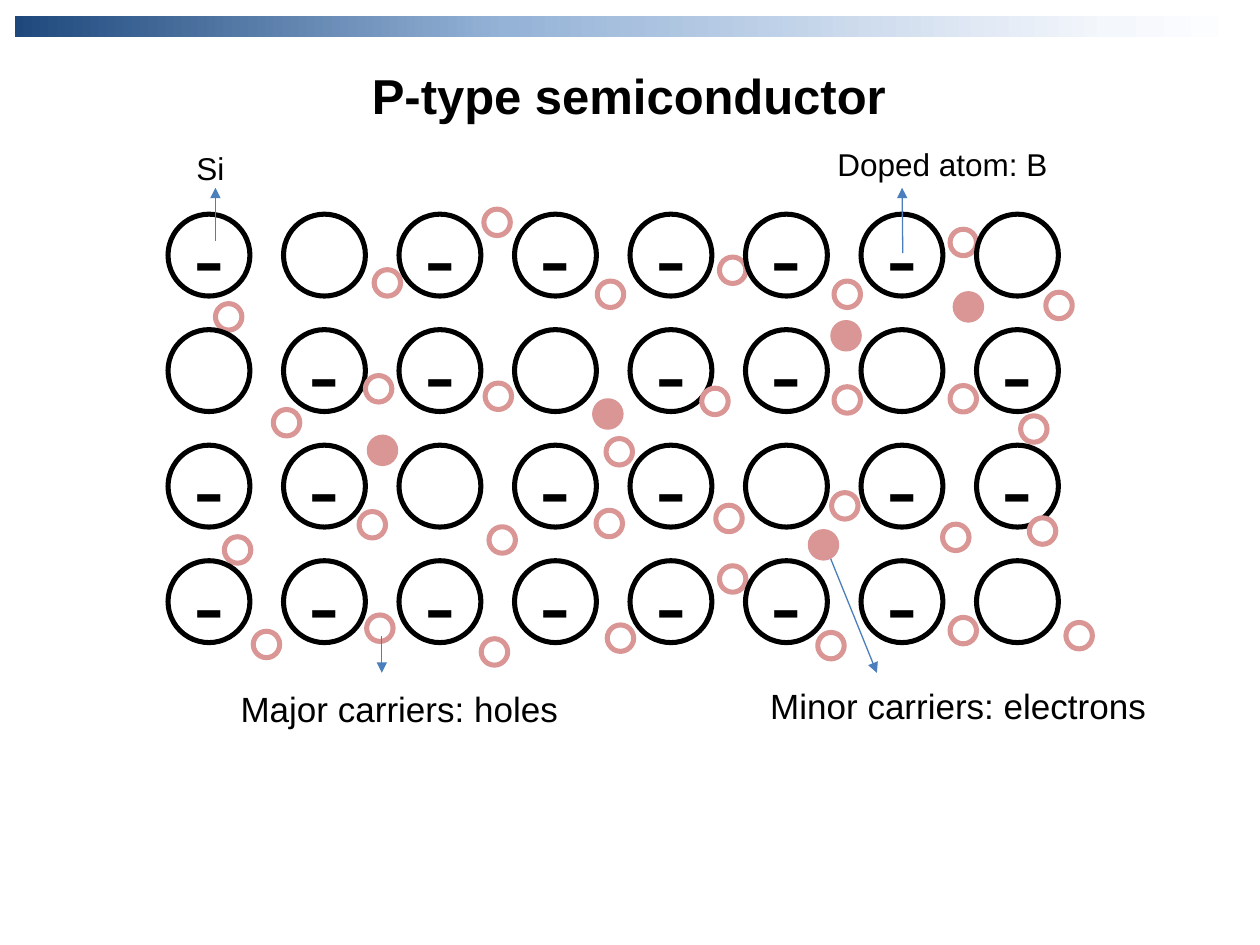
import copy

import pptx
import pptx.dml.color
import pptx.enum.shapes
import pptx.enum.text
import pptx.oxml
import pptx.oxml.ns
import pptx.util

Pt = pptx.util.Pt
SHAPE = pptx.enum.shapes.MSO_SHAPE
ALIGN = pptx.enum.text.PP_ALIGN
ANCHOR = pptx.enum.text.MSO_ANCHOR

ATOM_SIZE, PITCH = 46.8, 66
LATTICE_LEFT, LATTICE_TOP = 96, 122.4
CARRIER_SIZE = 15.1

# "-" marks an ionized atom, "." a neutral one
LATTICE = ["-.-----.", ".--.--.-", "--.--.--", "-------."]

# Left and top of the hole that belongs to each atom, row by row
HOLES = [
    [(123.1, 173.5), (213.8, 154.1), (276.5, 119.5), (341.3, 160.6),
     (411.1, 146.9), (476.6, 160.6), (542.9, 131), (597.6, 167)],
    [(156.2, 234), (208.8, 214.6), (277.2, 218.9), (346.3, 250.6),
     (401, 221.8), (476.6, 221), (542.9, 220.3), (583.2, 237.6)],
    [(128.2, 306.7), (205.2, 292.3), (279.4, 301), (340.6, 291.6),
     (409, 288.7), (475.2, 281.5), (538.6, 299.5), (588.2, 295.9)],
    [(144.7, 360.7), (209.5, 351.4), (275, 365), (347, 357.1),
     (411.1, 323.3), (467.3, 361.4), (542.9, 352.8), (609.1, 355.7)],
]
ELECTRONS = [(463, 303.8), (339.8, 229), (545.8, 167.8), (475.9, 184.3), (211, 249.8)]

ARROWS = [
    (218.2, 363.6, 218.2, 384.5),
    (470.2, 308.2, 501.1, 384.5),
    (515.9, 144.7, 515.5, 107.3),
    (123.1, 137.5, 123.1, 107.3),
]
# Text, left, top, width, height, size, bold
LABELS = [
    ("Major carriers: holes", 69.1, 389.5, 318.2, 31.7, 20, False),
    ("Minor carriers: electrons", 424.1, 387.4, 247, 31.7, 20, False),
    ("Doped atom: B", 446.4, 79.2, 184.3, 28.8, 18, False),
    ("Si", 86.1, 81.4, 68.4, 28.8, 18, False),
    ("P-type semiconductor", 50.4, 33.8, 617.8, 41, 28, True),
]


def rgb(value):
    return pptx.dml.color.RGBColor.from_string(value)


def write(tf, text, size, bold=False, color="000000", font="Arial"):
    p = tf.paragraphs[0]
    p.alignment = ALIGN.CENTER
    r = p.add_run()
    r.text = text
    r.font.name = font
    r.font.size = Pt(size)
    r.font.bold = bold
    r.font.color.rgb = rgb(color)


class Deck:
    ink = "000000"
    carrier = "D99694"
    arrow_color = "4B7EBC"
    outline = 2.88

    def __init__(self, width, height):
        self.prs = pptx.Presentation()
        self.prs.slide_width, self.prs.slide_height = Pt(width), Pt(height)
        self.s = self.prs.slides.add_slide(self.prs.slide_layouts[6])

    def gradient_bar(self, x, y, w, h, stops):
        sp = self.s.shapes.add_shape(SHAPE.RECTANGLE, Pt(x), Pt(y), Pt(w), Pt(h))
        sp.shadow.inherit = False
        sp.line.fill.background()
        sp.fill.gradient()
        sp.fill.gradient_angle = 0
        gs_list = sp.fill._fill._gradFill.find(pptx.oxml.ns.qn("a:gsLst"))
        while len(gs_list) < len(stops):
            gs_list.append(copy.deepcopy(gs_list[0]))
        for stop, (position, color) in zip(sp.fill.gradient_stops, stops):
            stop.position = position
            stop.color.rgb = rgb(color)

    def circle(self, x, y, size, line, fill=None):
        sp = self.s.shapes.add_shape(SHAPE.OVAL, Pt(x), Pt(y), Pt(size), Pt(size))
        sp.shadow.inherit = False
        sp.line.color.rgb = rgb(line)
        sp.line.width = Pt(self.outline)
        if fill:
            sp.fill.solid()
            sp.fill.fore_color.rgb = rgb(fill)
        else:
            sp.fill.background()
        return sp

    def atom(self, x, y, ionized):
        sp = self.circle(x, y, ATOM_SIZE, self.ink)
        if ionized:
            tf = sp.text_frame
            tf.word_wrap = False
            tf.vertical_anchor = ANCHOR.MIDDLE
            write(tf, "-", 54)

    def hole(self, x, y):
        self.circle(x, y, CARRIER_SIZE, self.carrier, "FFFFFF")

    def electron(self, x, y):
        self.circle(x, y, CARRIER_SIZE, self.carrier, self.carrier)

    def arrow(self, x1, y1, x2, y2):
        c = self.s.shapes.add_connector(
            pptx.enum.shapes.MSO_CONNECTOR.STRAIGHT, Pt(x1), Pt(y1), Pt(x2), Pt(y2))
        c.line.color.rgb = rgb(self.arrow_color)
        c.line.width = Pt(0.75)
        ns = pptx.oxml.ns.nsdecls("a")
        c.line._get_or_add_ln().append(
            pptx.oxml.parse_xml(f'<a:tailEnd {ns} type="triangle"/>'))
        c._element.spPr.append(pptx.oxml.parse_xml(f"<a:effectLst {ns}/>"))

    def label(self, text, x, y, w, h, size, bold):
        tf = self.s.shapes.add_textbox(Pt(x), Pt(y), Pt(w), Pt(h)).text_frame
        tf.word_wrap = True
        write(tf, text, size, bold=bold)


def main():
    deck = Deck(720, 540)
    deck.gradient_bar(8.6, 9.4, 702.7, 11.5, [
        (0, "1F497D"), (0.4, "95B3D7"), (0.89, "F4F7FC"), (1, "FFFFFF")])
    for row, (marks, holes) in enumerate(zip(LATTICE, HOLES)):
        for col, (mark, hole) in enumerate(zip(marks, holes)):
            deck.atom(LATTICE_LEFT + col * PITCH, LATTICE_TOP + row * PITCH, mark == "-")
            deck.hole(*hole)
    for arrow in ARROWS:
        deck.arrow(*arrow)
    for label in LABELS:
        deck.label(*label)
    for electron in ELECTRONS:
        deck.electron(*electron)
    deck.prs.save("out.pptx")


if __name__ == "__main__":
    main()
